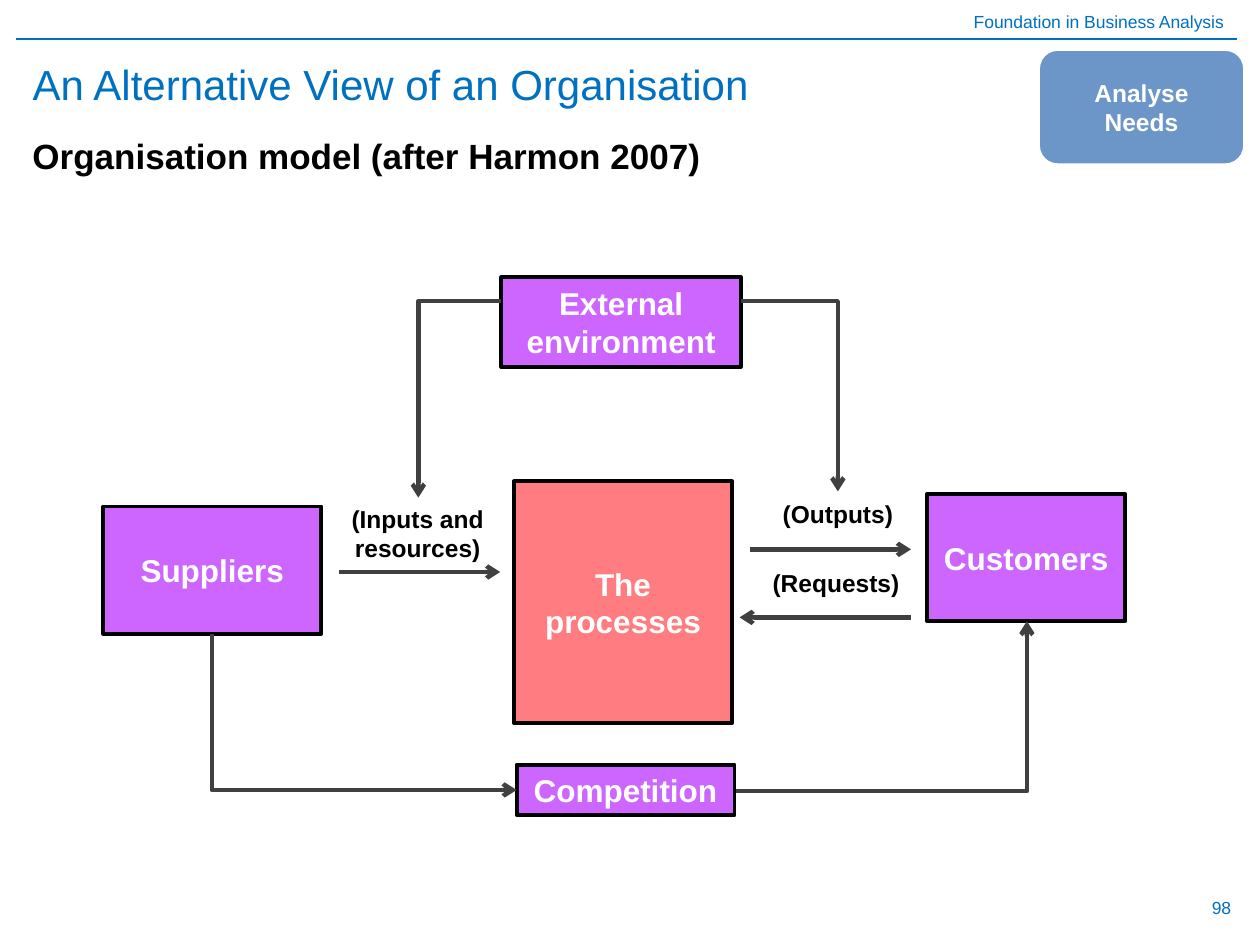
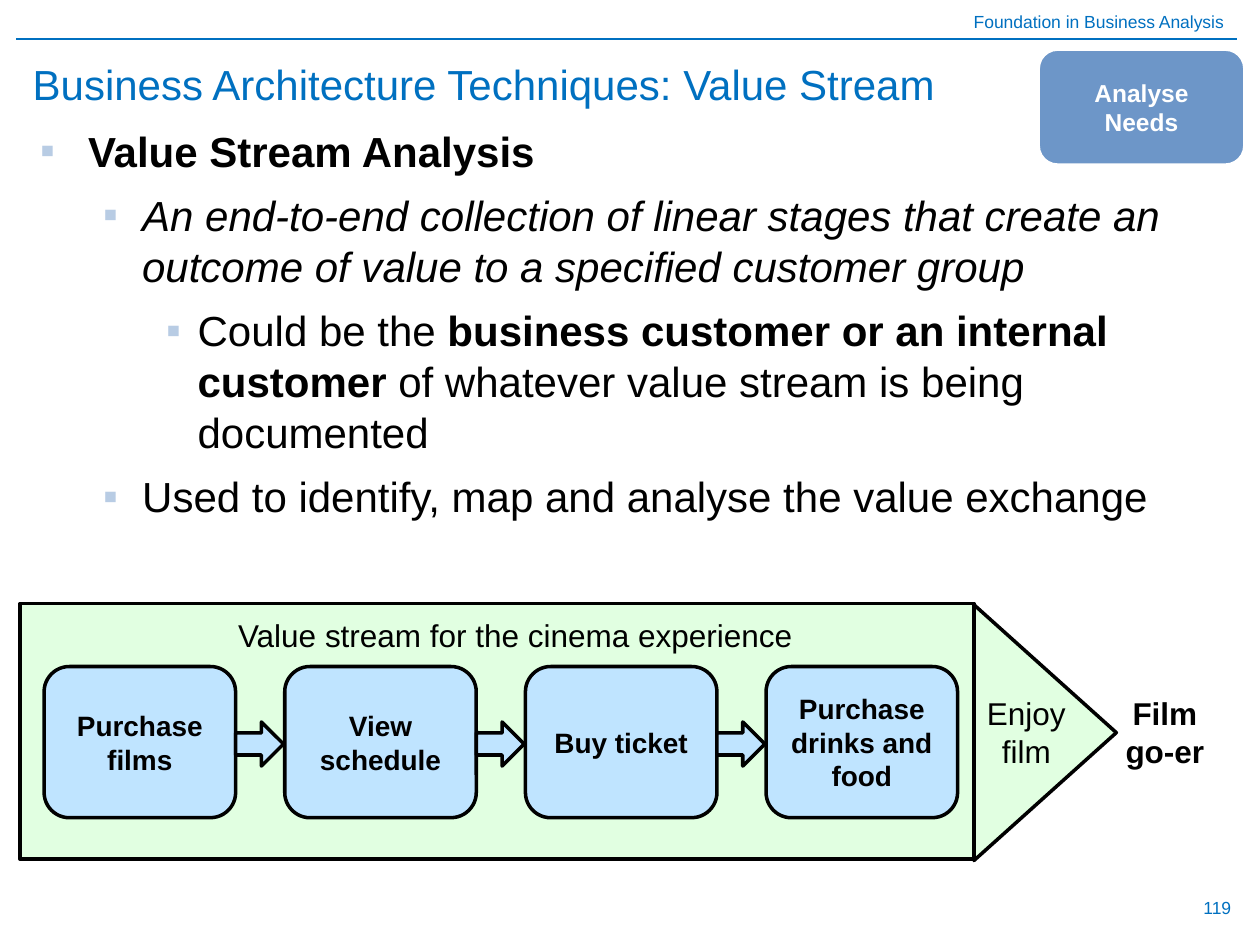
from pptx import Presentation
from pptx.dml.color import RGBColor
from pptx.enum.shapes import MSO_CONNECTOR, MSO_SHAPE
from pptx.enum.text import MSO_ANCHOR, MSO_AUTO_SIZE, PP_ALIGN
from pptx.oxml.ns import qn
from pptx.util import Inches, Pt
from lxml import etree

BLUE = RGBColor(0x00, 0x70, 0xC0)
BADGE = RGBColor(0x6D, 0x96, 0xC8)
PURPLE = RGBColor(0xCC, 0x66, 0xFF)
CORAL = RGBColor(0xFF, 0x7C, 0x80)
GREEN = RGBColor(0xE1, 0xFF, 0xE1)
SKY = RGBColor(0xBF, 0xE4, 0xFF)
GREY = RGBColor(0x40, 0x40, 0x40)
BLACK = RGBColor(0x00, 0x00, 0x00)
WHITE = RGBColor(0xFF, 0xFF, 0xFF)
BULLET = "B8CCE4"
FONT = "Arial"

LEFT, CENTER, RIGHT = PP_ALIGN.LEFT, PP_ALIGN.CENTER, PP_ALIGN.RIGHT
TOP, MIDDLE = MSO_ANCHOR.TOP, MSO_ANCHOR.MIDDLE
RECT, ROUND = MSO_SHAPE.RECTANGLE, MSO_SHAPE.ROUNDED_RECTANGLE
TRIANGLE, ARROW = MSO_SHAPE.ISOSCELES_TRIANGLE, MSO_SHAPE.RIGHT_ARROW
STRAIGHT, ELBOW = MSO_CONNECTOR.STRAIGHT, MSO_CONNECTOR.ELBOW
NO_FIT = MSO_AUTO_SIZE.NONE


class Deck:
    def __init__(self):
        self.file = Presentation()
        self.file.slide_width = Inches(10)
        self.file.slide_height = Inches(7.5)
        self.slide = None

    def page(self, title, number):
        self.slide = self.file.slides.add_slide(self.file.slide_layouts[5])
        self.text("Foundation in Business Analysis", 0, 0.04, 9.81, 0.27,
                  10, BLUE, align=RIGHT)
        self.line(0.13, 0.31, 9.82, 0.31, BLUE, 0.75, head=False)
        self.text(number, 7.54, 7, 2.33, 0.4, 10, BLUE, align=RIGHT,
                  anchor=MIDDLE)
        head = self.slide.shapes.title
        head.left, head.top = Inches(0.16), Inches(0.39)
        head.width, head.height = Inches(9.61), Inches(0.55)
        self.label(head.text_frame, title, 24, BLUE, False, LEFT, MIDDLE)
        self.box("Analyse Needs", 8.24, 0.39, 1.64, 0.92, BADGE, WHITE,
                 size=14, kind=ROUND)

    def style(self, para, size, color, bold=False):
        font = para.font
        font.name, font.size, font.bold = FONT, Pt(size), bold
        font.color.rgb = color

    def label(self, frame, text, size, color, bold, align, anchor):
        frame.word_wrap = True
        frame.auto_size = NO_FIT
        frame.vertical_anchor = anchor
        frame.text = text
        for para in frame.paragraphs:
            para.alignment = align
            self.style(para, size, color, bold)

    def text(self, text, x, y, w, h, size, color=BLACK, bold=False,
             align=CENTER, anchor=TOP, inset=0.1):
        item = self.slide.shapes.add_textbox(
            Inches(x), Inches(y), Inches(w), Inches(h))
        frame = item.text_frame
        frame.margin_left = frame.margin_right = Inches(inset)
        self.label(frame, text, size, color, bold, align, anchor)

    def box(self, text, x, y, w, h, fill, edge=BLACK, width=2, size=18,
            color=WHITE, kind=RECT, turn=0):
        item = self.slide.shapes.add_shape(
            kind, Inches(x), Inches(y), Inches(w), Inches(h))
        item.shadow.inherit = False
        item.rotation = turn
        item.fill.solid()
        item.fill.fore_color.rgb = fill
        item.line.color.rgb = edge
        item.line.width = Pt(width)
        if text:
            self.label(item.text_frame, text, size, color, True, CENTER, MIDDLE)

    def line(self, x1, y1, x2, y2, color=GREY, width=2.5, head=True,
             kind=STRAIGHT):
        wire = self.slide.shapes.add_connector(
            kind, Inches(x1), Inches(y1), Inches(x2), Inches(y2))
        wire.line.color.rgb = color
        wire.line.width = Pt(width)
        props = wire._element.spPr
        if head:
            tip = etree.SubElement(props.find(qn("a:ln")), qn("a:tailEnd"))
            tip.set("type", "arrow")
        etree.SubElement(props, qn("a:effectLst"))
        return props

    def bend(self, x, y, w, h, turn=0, flip=None):
        props = self.line(x, y, x + w, y + h, kind=ELBOW)
        props.find(qn("a:prstGeom")).set("prst", "bentConnector2")
        frame = props.find(qn("a:xfrm"))
        if turn:
            frame.set("rot", str(turn * 60000))
        if flip:
            frame.set(flip, "1")

    def points(self, rows, x, y, w, h):
        item = self.slide.shapes.add_textbox(
            Inches(x), Inches(y), Inches(w), Inches(h))
        frame = item.text_frame
        frame.word_wrap = True
        indents = [(0.38, 0.38), (0.81, 0.31), (1.25, 0.25)]
        for i, (level, runs) in enumerate(rows):
            para = frame.add_paragraph() if i else frame.paragraphs[0]
            para.level = level
            left, hang = indents[level]
            props = para._p.get_or_add_pPr()
            props.set("marL", str(Inches(left)))
            props.set("indent", str(-Inches(hang)))
            tint = etree.SubElement(props, qn("a:buClr"))
            etree.SubElement(tint, qn("a:srgbClr")).set("val", BULLET)
            etree.SubElement(props, qn("a:buFont")).set("typeface", FONT)
            etree.SubElement(props, qn("a:buChar")).set("char", "▪")
            para.line_spacing = 1.01
            if i:
                para.space_before = Pt(7.6)
            self.style(para, 24, BLACK)
            for words, bold, slant in runs:
                run = para.add_run()
                run.text = words
                run.font.bold, run.font.italic = bold, slant


def model(deck):
    deck.page("An Alternative View of an Organisation", "98")
    deck.text("Organisation model (after Harmon 2007)", 0.16, 1.02, 8, 0.5,
              20, bold=True, align=LEFT)
    for name, x, y, w, h, fill in [
        ("External environment", 3.98, 2.2, 1.9, 0.71, PURPLE),
        ("Suppliers", 0.82, 4.02, 1.73, 1.01, PURPLE),
        ("The processes", 4.08, 3.82, 1.73, 1.92, CORAL),
        ("Competition", 4.1, 6.07, 1.73, 0.4, PURPLE),
        ("Customers", 7.36, 3.92, 1.57, 1.01, PURPLE),
    ]:
        deck.box(name, x, y, w, h, fill, width=2.25)
    for flow, x, y, w, h in [
        ("(Inputs and\nresources)", 2.69, 3.95, 1.25, 0.57),
        ("(Requests)", 6.03, 4.46, 1.21, 0.34),
        ("(Outputs)", 6.11, 3.91, 1.08, 0.34),
    ]:
        deck.text(flow, x, y, w, h, 14, bold=True, inset=0)
    deck.bend(3.32, 2.39, 0.66, 1.56, 180, "flipV")
    deck.bend(5.88, 2.39, 0.77, 1.51)
    deck.bend(5.84, 4.93, 2.31, 1.35, flip="flipV")
    deck.bend(2.27, 4.44, 1.24, 2.42, 270, "flipH")
    deck.line(5.95, 4.36, 7.23, 4.36)
    deck.line(7.23, 4.9, 5.87, 4.9)
    deck.line(2.69, 4.54, 3.97, 4.54)


def stream(deck):
    deck.page("Business Architecture Techniques: Value Stream", "119")
    deck.points([
        (0, [("Value Stream Analysis", True, False)]),
        (1, [("An end-to-end collection of linear stages that create an "
              "outcome of value to a specified customer group", False, True)]),
        (2, [("Could be the ", False, False),
             ("business customer or an internal customer ", True, False),
             ("of whatever value stream is being documented", False, False)]),
        (1, [("Used to identify, map and analyse the value exchange",
              False, False)]),
    ], 0.22, 0.94, 9.48, 3.5)
    deck.box("", 7.28, 5.25, 2.03, 1.13, GREEN, kind=TRIANGLE, turn=90)
    deck.text("Enjoy\nfilm", 7.6, 5.46, 1.09, 0.71, 18)
    deck.box("", 0.16, 4.79, 7.57, 2.03, GREEN)
    stages = ["Purchase films", "View schedule", "Buy ticket",
              "Purchase drinks and food"]
    width, step = 1.52, 1.91
    for i, stage in enumerate(stages):
        x = 0.35 + i * step
        deck.box(stage, x, 5.29, width, 1.2, SKY, size=16, color=BLACK,
                 kind=ROUND)
        if i:
            deck.box("", x - step + width, 5.73, 0.38, 0.35, SKY, kind=ARROW)
    deck.text("Value stream for the cinema experience", 0.46, 4.84, 7.26, 0.4,
              18)
    deck.text("Film go-er", 8.7, 5.46, 1.09, 0.71, 18, bold=True)


def main():
    deck = Deck()
    model(deck)
    stream(deck)
    deck.file.save("out.pptx")


if __name__ == "__main__":
    main()
